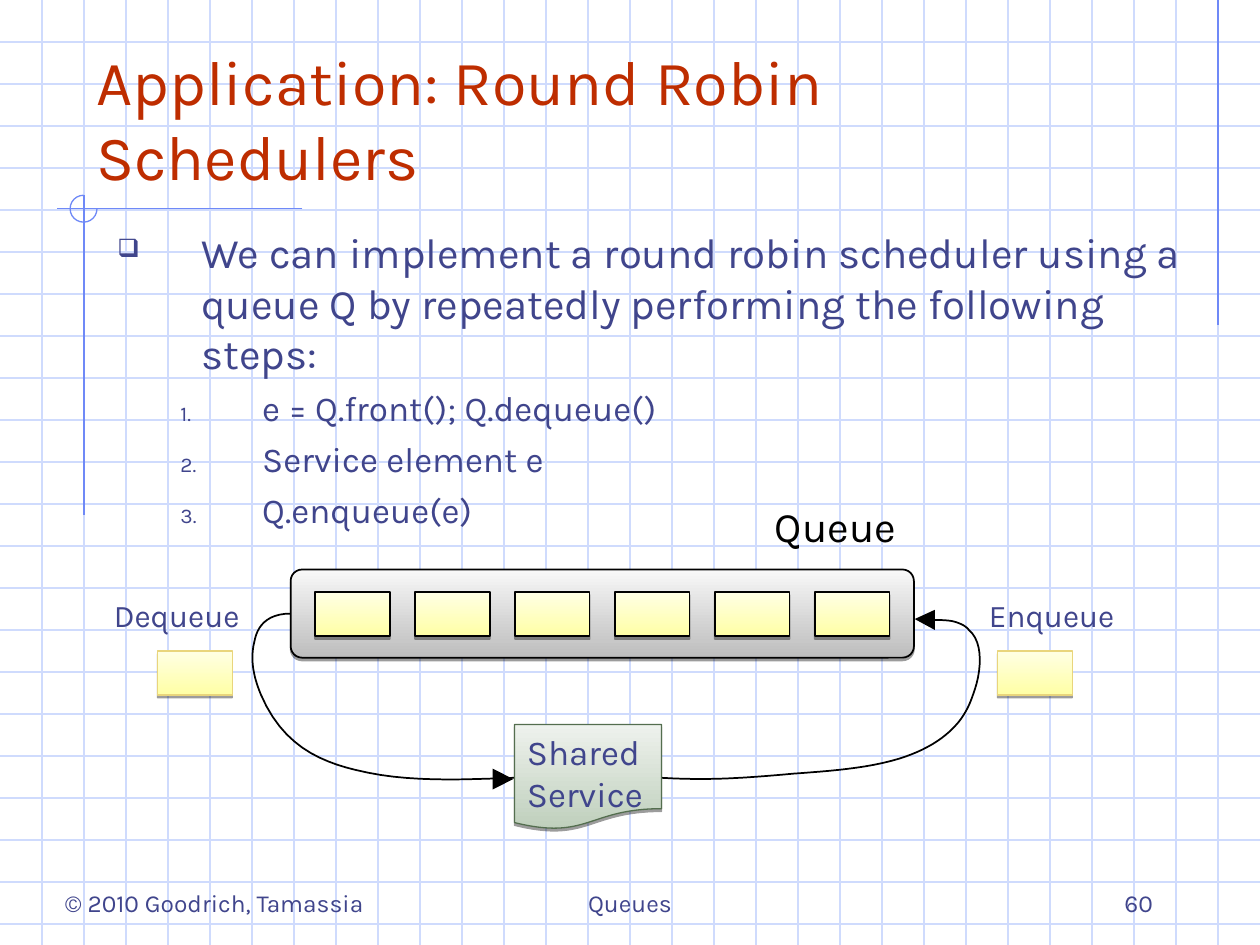
from lxml import etree
from pptx import Presentation
from pptx.dml.color import RGBColor
from pptx.enum.shapes import MSO_CONNECTOR, MSO_SHAPE
from pptx.enum.text import MSO_ANCHOR, PP_ALIGN
from pptx.oxml.ns import qn
from pptx.util import Inches, Pt

STRAIGHT = MSO_CONNECTOR.STRAIGHT
RECT, ROUNDED = MSO_SHAPE.RECTANGLE, MSO_SHAPE.ROUNDED_RECTANGLE
DOCUMENT, ARC = MSO_SHAPE.FLOWCHART_DOCUMENT, MSO_SHAPE.ARC
LEFT, CENTER, RIGHT = PP_ALIGN.LEFT, PP_ALIGN.CENTER, PP_ALIGN.RIGHT
TOP, BOTTOM = MSO_ANCHOR.TOP, MSO_ANCHOR.BOTTOM

# The squared paper: three cells to the inch; all lengths are in cells
COLS, ROWS = 30, 22.5
FONT = "Karla"
INK, RED, BLACK = "40458C", "BE2D00", "000000"
PAPER, ACCENT = "CFDBFD", "6F89F7"
GREY = ("BDBDBD", "F8F8F8")
YELLOW = ("FFFFA5", "FFFFE4")
GREEN = ("BFCFBC", "EEF2ED")
SLOT_SIZE = (1.78, 1.05)


def cells(count):
    return Inches(count / 3)


def color(hex_code):
    return RGBColor.from_string(hex_code)


def set_line(shape, hex_code, width):
    shape.line.color.rgb = color(hex_code)
    shape.line.width = Pt(width)


def add_rule(page, start, end, hex_code):
    rule = page.shapes.add_connector(STRAIGHT, *map(cells, start + end))
    etree.SubElement(rule._element.spPr, qn("a:effectLst"))
    set_line(rule, hex_code, 0.75)


def add_span(para, text, size, hex_code):
    span = para.add_run()
    span.text = text
    span.font.name = FONT
    span.font.size = Pt(size)
    span.font.color.rgb = color(hex_code)


def add_label(page, area, text, size, hex_code=INK, align=LEFT, anchor=TOP, wrap=True):
    box = page.shapes.add_textbox(*map(cells, area))
    frame = box.text_frame
    frame.word_wrap = wrap
    frame.vertical_anchor = anchor
    para = frame.paragraphs[0]
    para.alignment = align
    add_span(para, text, size, hex_code)


def set_bullet(para, margin, hanging, tag, **attributes):
    props = para._p.get_or_add_pPr()
    props.set("marL", str(cells(margin)))
    props.set("indent", str(-cells(hanging)))
    tint = etree.SubElement(props, qn("a:buClr"))
    etree.SubElement(tint, qn("a:srgbClr"), val=INK)
    etree.SubElement(props, qn("a:buSzPct"), val="60000")
    etree.SubElement(props, qn(tag), **attributes)


def add_body(page, area, intro, steps):
    frame = page.shapes.add_textbox(*map(cells, area)).text_frame
    frame.word_wrap = True
    para = frame.paragraphs[0]
    set_bullet(para, 2, 2, "a:buChar", char="❑")
    add_span(para, intro, 24, INK)
    for step in steps:
        para = frame.add_paragraph()
        para.level = 1
        set_bullet(para, 3.25, 1.75, "a:buAutoNum", type="arabicPeriod")
        para.space_before = Pt(5)
        add_span(para, step, 20, INK)


def add_block(page, kind, area, shades, outline, width=0.75):
    """Block shaded from bottom to top, with a hard shadow below it."""
    block = page.shapes.add_shape(kind, *map(cells, area))
    block.fill.gradient()
    block.fill.gradient_angle = 90
    for stop, shade in zip(block.fill.gradient_stops, shades):
        stop.color.rgb = color(shade)
    set_line(block, outline, width)
    block.shadow.inherit = False
    effects = block._element.spPr.find(qn("a:effectLst"))
    shadow = etree.SubElement(effects, qn("a:outerShdw"), blurRad="0",
                              dist=str(Pt(1.6)), dir="5400000", rotWithShape="0")
    tint = etree.SubElement(shadow, qn("a:srgbClr"), val=BLACK)
    etree.SubElement(tint, qn("a:alpha"), val="38000")
    return block


def bezier_points(start, curves, steps=12):
    points = [start]
    for first, second, end in curves:
        begin = points[-1]
        for step in range(1, steps + 1):
            t = step / steps
            u = 1 - t
            weights = (u ** 3, 3 * u * u * t, 3 * u * t * t, t ** 3)
            corners = (begin, first, second, end)
            points.append(tuple(sum(w * c[axis] for w, c in zip(weights, corners))
                                for axis in (0, 1)))
    return points


def add_outline(page, points, close):
    places = [(cells(x), cells(y)) for x, y in points]
    builder = page.shapes.build_freeform(*places[0])
    builder.add_line_segments(places[1:], close=close)
    shape = builder.convert_to_shape()
    shape.shadow.inherit = False
    return shape


def add_flow(page, start, curves, head):
    path = add_outline(page, bezier_points(start, curves), close=False)
    path.fill.background()
    set_line(path, BLACK, 1)
    arrow = add_outline(page, head, close=True)
    arrow.fill.solid()
    arrow.fill.fore_color.rgb = color(BLACK)
    arrow.line.fill.background()


def add_paper(page):
    for row in range(1, int(ROWS) + 1):
        add_rule(page, (0, row), (COLS, row), PAPER)
    for col in range(1, COLS):
        add_rule(page, (col, 0), (col, ROWS), PAPER)
    # Margin lines and the three-quarter circle where they cross
    add_rule(page, (29, 0), (29, 7.75), ACCENT)
    add_rule(page, (7.2, 4.97), (1.36, 4.97), ACCENT)
    add_rule(page, (2, 4.65), (2, 12.27), ACCENT)
    circle = page.shapes.add_shape(ARC, *map(cells, (1.67, 4.65, 0.64, 0.64)))
    circle.adjustments[0] = 0
    circle.adjustments[1] = 162  # 270 degrees
    circle.fill.background()
    circle.shadow.inherit = False
    set_line(circle, ACCENT, 0.75)


def add_queue(page):
    bar = add_block(page, ROUNDED, (6.92, 13.56, 14.84, 2.1), GREY, BLACK, 1)
    bar.adjustments[0] = 0.13
    for slot in range(6):
        add_block(page, RECT, (7.5 + slot * 2.38, 14.1, *SLOT_SIZE), YELLOW, BLACK, 1)
    for left in (3.75, 23.75):
        add_block(page, RECT, (left, 15.5, *SLOT_SIZE), YELLOW, "E9D57C")
    add_label(page, (18.15, 11.76, 3.75, 1.5), "Queue", 24, BLACK, wrap=False)
    add_label(page, (23.25, 14.04, 6.25, 1.2), "Enqueue", 18)
    add_label(page, (0.5, 14.04, 5.5, 1.2), "Dequeue", 18, align=RIGHT)


def add_flows(page):
    # From the queue to the service
    add_flow(page, (6.92, 14.61), [
        ((6.33, 14.61), (6.12, 14.94), (6.06, 15.27)),
        ((5.94, 15.72), (6.06, 16.17), (6.21, 16.53)),
        ((6.72, 17.73), (7.59, 18.12), (8.46, 18.33)),
        ((9.66, 18.63), (10.89, 18.57), (12.48, 18.51)),
    ], [(11.73, 18.8), (12.22, 18.55), (11.73, 18.3)])
    # From the service back to the queue
    add_flow(page, (15.57, 18.51), [
        ((16.11, 18.54), (16.2, 18.54), (16.26, 18.54)),
        ((17.07, 18.57), (17.91, 18.51), (18.9, 18.42)),
        ((19.71, 18.36), (20.64, 18.3), (21.42, 18.06)),
        ((21.99, 17.88), (22.47, 17.61), (22.8, 17.22)),
        ((22.95, 17.04), (23.07, 16.83), (23.16, 16.56)),
        ((23.37, 16.02), (23.43, 15.3), (23.07, 15)),
        ((22.98, 14.88), (22.8, 14.82), (22.68, 14.79)),
        ((22.5, 14.76), (22.35, 14.76), (22.11, 14.76)),
    ], [(22.26, 15), (21.78, 14.74), (22.26, 14.52)])


def add_service(page):
    service = add_block(page, DOCUMENT, (12.25, 17.25, 3.5, 2.5), GREEN, "546E4F")
    frame = service.text_frame
    frame.word_wrap = False
    frame.vertical_anchor = TOP
    para = frame.paragraphs[0]
    para.alignment = LEFT
    add_span(para, "Shared ", 20, INK)
    para.add_line_break()
    add_span(para, "Service", 20, INK)


def main():
    deck = Presentation()
    deck.slide_width, deck.slide_height = cells(COLS), cells(ROWS)
    page = deck.slides.add_slide(deck.slide_layouts[6])
    add_paper(page)
    # Title and steps
    add_label(page, (2, 1, 25.5, 3.75), "Application: Round Robin Schedulers", 36, RED,
              anchor=BOTTOM)
    add_body(page, (2.5, 5.25, 26.25, 8),
             "We can implement a round robin scheduler using a queue Q by repeatedly "
             "performing the following steps:",
             [" e = Q.front(); Q.dequeue()", " Service element e", " Q.enqueue(e)"])
    # Diagram
    add_queue(page)
    add_flows(page)
    add_service(page)
    # Footer
    for left, width, text, align in ((1.25, 8.5, "© 2010 Goodrich, Tamassia", LEFT),
                                     (10.25, 9.5, "Queues", CENTER),
                                     (21.5, 6.25, "60", RIGHT)):
        add_label(page, (left, 20.5, width, 1.5), text, 14, align=align, anchor=BOTTOM)
    deck.save("out.pptx")


if __name__ == "__main__":
    main()
